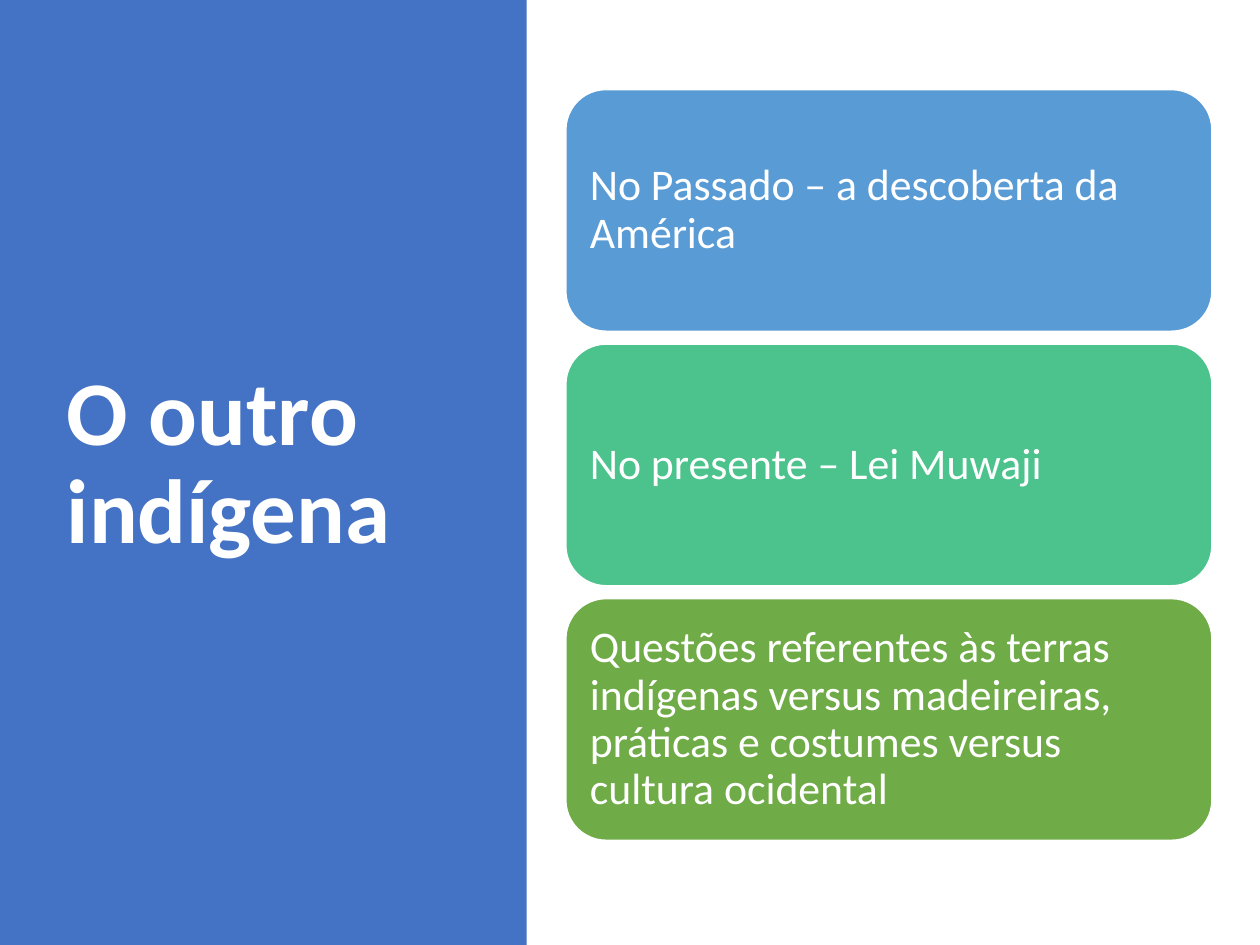
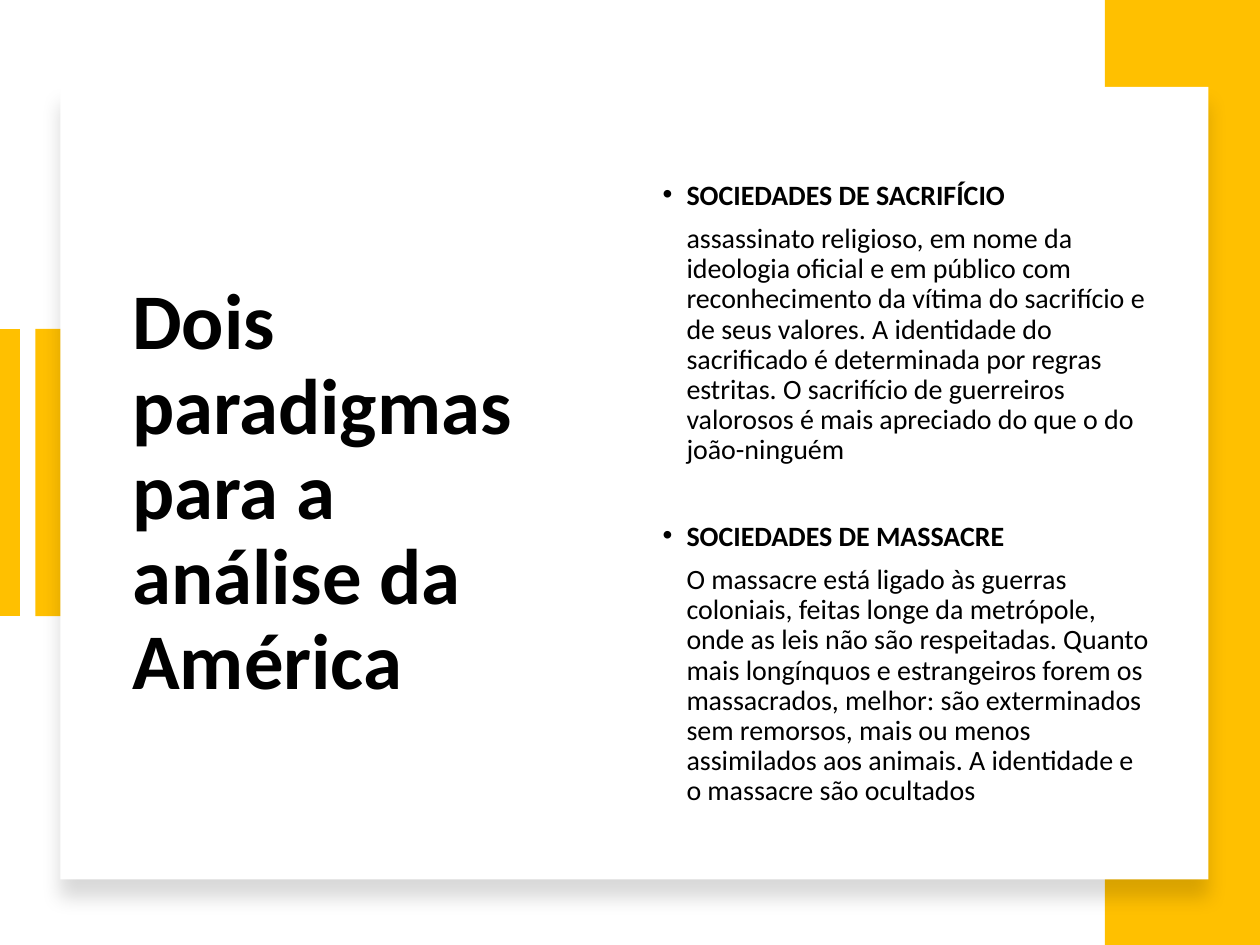
"""Builds two slides on the indigenous other and the paradigms of America."""
import dataclasses

import lxml.etree
import pptx
import pptx.dml.color
import pptx.enum.shapes
import pptx.enum.text
import pptx.oxml.ns
import pptx.util

Inches = pptx.util.Inches
Pt = pptx.util.Pt
SHAPE = pptx.enum.shapes.MSO_SHAPE


@dataclasses.dataclass(frozen=True)
class Theme:
    font: str = "Calibri"
    white: str = "FFFFFF"
    black: str = "000000"
    panel: str = "4472C4"
    gold: str = "FFC000"
    topics: tuple = ("599BD5", "4CC38C", "6FAB46")
    panel_title: int = 52
    card_title: int = 45
    topic: int = 25
    body: int = 16
    line_spacing: float = 0.9


class Deck:
    def __init__(self, theme):
        self.theme = theme
        self.presentation = pptx.Presentation()
        self.presentation.slide_width = Inches(10)
        self.presentation.slide_height = Inches(7.5)
        self.slide = None

    def new_slide(self):
        self.slide = self.presentation.slides.add_slide(self.presentation.slide_layouts[5])

    def color(self, value):
        return pptx.dml.color.RGBColor.from_string(value)

    def frame(self, shape, margin_y=0.05):
        frame = shape.text_frame
        frame.word_wrap = True
        frame.auto_size = pptx.enum.text.MSO_AUTO_SIZE.NONE
        frame.vertical_anchor = pptx.enum.text.MSO_ANCHOR.MIDDLE
        frame.margin_left = frame.margin_right = Inches(0.1)
        frame.margin_top = frame.margin_bottom = Inches(margin_y)
        return frame

    def format(self, paragraph, size, color, bold=False):
        paragraph.alignment = pptx.enum.text.PP_ALIGN.LEFT
        paragraph.line_spacing = self.theme.line_spacing
        for run in paragraph.runs:
            run.font.name = self.theme.font
            run.font.size = Pt(size)
            run.font.bold = bold
            run.font.color.rgb = self.color(color)

    def title(self, text, box, size, color):
        title = self.slide.shapes.title
        title.left, title.top, title.width, title.height = map(Inches, box)
        frame = self.frame(title)
        frame.text = text
        self.format(frame.paragraphs[0], size, color, bold=True)
        self.slide.shapes._spTree.append(title._element)

    def block(self, box, fill, kind=SHAPE.RECTANGLE):
        block = self.slide.shapes.add_shape(kind, *map(Inches, box))
        block.shadow.inherit = False
        block.fill.solid()
        block.fill.fore_color.rgb = self.color(fill)
        block.line.fill.background()
        return block

    def topic(self, text, box, fill):
        topic = self.block(box, fill, SHAPE.ROUNDED_RECTANGLE)
        topic.line.color.rgb = self.color(self.theme.white)
        topic.line.width = Pt(1)
        frame = self.frame(topic, margin_y=0.1)
        frame.text = text
        self.format(frame.paragraphs[0], self.theme.topic, self.theme.white)

    def card(self, box):
        properties = self.block(box, self.theme.white)._element.spPr
        effects = properties.find(pptx.oxml.ns.qn("a:effectLst"))
        shadow = lxml.etree.SubElement(
            effects, pptx.oxml.ns.qn("a:outerShdw"), blurRad=str(Pt(11)),
            dist=str(Pt(10)), dir="5400000", algn="t", rotWithShape="0")
        tint = lxml.etree.SubElement(shadow, pptx.oxml.ns.qn("a:srgbClr"), val=self.theme.black)
        lxml.etree.SubElement(tint, pptx.oxml.ns.qn("a:alpha"), val="15000")

    def stripe(self, x, top, bottom, color, width):
        stripe = self.slide.shapes.add_connector(
            pptx.enum.shapes.MSO_CONNECTOR.STRAIGHT,
            Inches(x), Inches(top), Inches(x), Inches(bottom))
        stripe.line.color.rgb = self.color(color)
        stripe.line.width = Pt(width)
        lxml.etree.SubElement(stripe._element.spPr, pptx.oxml.ns.qn("a:effectLst"))

    def definitions(self, entries, box):
        frame = self.frame(self.slide.shapes.add_textbox(*map(Inches, box)))
        for index, (term, meaning) in enumerate(entries):
            heading = frame.add_paragraph() if index else frame.paragraphs[0]
            self.definition_line(heading, term, 32 if index else 0, bullet=True)
            self.definition_line(frame.add_paragraph(), meaning, 7.5)

    def definition_line(self, paragraph, text, space_before, bullet=False):
        paragraph.text = text
        paragraph.space_before = Pt(space_before)
        self.format(paragraph, self.theme.body, self.theme.black, bold=bullet)
        properties = paragraph._p.get_or_add_pPr()
        indent = Inches(0.19)
        properties.set("marL", str(indent))
        properties.set("indent", str(-indent if bullet else 0))
        if bullet:
            lxml.etree.SubElement(properties, pptx.oxml.ns.qn("a:buFont"), typeface="Arial")
            lxml.etree.SubElement(properties, pptx.oxml.ns.qn("a:buChar"), char="•")


def indigenous_other(deck):
    theme = deck.theme
    deck.new_slide()
    deck.block((0, 0, 4.18, 7.5), theme.panel)
    deck.title("O outro indígena", (0.43, 0.68, 3.12, 6.02), theme.panel_title, theme.white)
    topics = (
        "No Passado – a descoberta da América",
        "No presente – Lei Muwaji",
        "Questões referentes às terras indígenas versus madeireiras, "
        "práticas e costumes versus cultura ocidental",
    )
    height, gap = 1.92, 0.1
    for row, (text, fill) in enumerate(zip(topics, theme.topics)):
        deck.topic(text, (4.49, 0.71 + row * (height + gap), 5.13, height), fill)


def two_paradigms(deck):
    theme = deck.theme
    deck.new_slide()
    deck.block((0.28, 2.61, 0.25, 2.28), theme.gold)
    deck.stripe(0.06, 2.61, 4.89, theme.gold, 14)
    deck.block((8.77, 0, 1.23, 7.5), theme.gold)
    deck.card((0.48, 0.69, 9.11, 6.29))
    deck.title("Dois paradigmas para a análise da América",
               (0.95, 1.36, 3.29, 5.12), theme.card_title, theme.black)
    deck.definitions((
        ("SOCIEDADES DE SACRIFÍCIO",
         "assassinato religioso, em nome da ideologia oficial e em público com "
         "reconhecimento da vítima do sacrifício e de seus valores. A identidade do "
         "sacrificado é determinada por regras estritas. O sacrifício de guerreiros "
         "valorosos é mais apreciado do que o do joão-ninguém"),
        ("SOCIEDADES DE MASSACRE",
         "O massacre está ligado às guerras coloniais, feitas longe da metrópole, "
         "onde as leis não são respeitadas. Quanto mais longínquos e estrangeiros "
         "forem os massacrados, melhor: são exterminados sem remorsos, mais ou menos "
         "assimilados aos animais. A identidade e o massacre são ocultados"),
    ), (5.16, 1.36, 4.08, 5.12))


def main():
    deck = Deck(Theme())
    indigenous_other(deck)
    two_paradigms(deck)
    deck.presentation.save("out.pptx")


if __name__ == "__main__":
    main()
